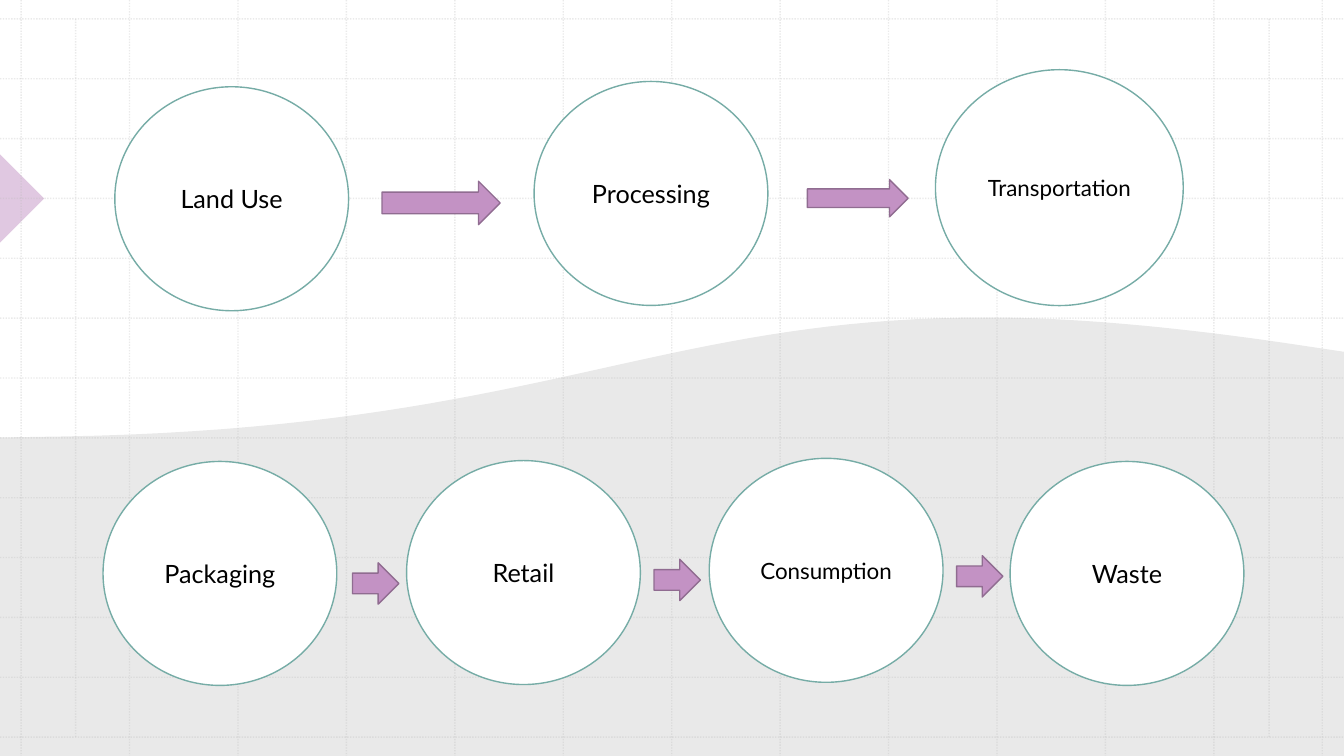
"""Build a slide that shows the seven stages of a food life cycle."""

from dataclasses import dataclass

from lxml.etree import SubElement
from pptx import Presentation
from pptx.dml.color import RGBColor
from pptx.enum.dml import MSO_LINE
from pptx.enum.shapes import MSO_CONNECTOR, MSO_SHAPE
from pptx.enum.text import MSO_ANCHOR, PP_ALIGN
from pptx.oxml.ns import qn
from pptx.util import Pt

WIDTH, HEIGHT = 960, 540
CIRCLE_SIZE = (167, 160)
SHORT_ARROW_SIZE = (33.1, 29.5)


@dataclass(frozen=True)
class Theme:
    font: str = "Lato"
    text: str = "000000"
    white: str = "FFFFFF"
    wave: str = "E9E9E9"
    grid: str = "BCBCBC"
    circle_line: str = "76ACA6"
    arrow: str = "C392C4"
    arrow_line: str = "906C91"
    label_size: int = 18
    long_label_size: int = 16
    line_width: int = 1


def write_text(shape, text, *, font, size, color, align=PP_ALIGN.CENTER):
    frame = shape.text_frame
    frame.word_wrap = True
    frame.vertical_anchor = MSO_ANCHOR.MIDDLE
    paragraph = frame.paragraphs[0]
    paragraph.alignment = align
    run = paragraph.add_run()
    run.text = text
    run.font.name = font
    run.font.size = Pt(size)
    run.font.color.rgb = RGBColor.from_string(color)


def set_opacity(shape, percent):
    for color in shape.element.spPr.iter(qn("a:srgbClr")):
        SubElement(color, qn("a:alpha"), val=str(percent * 1000))


def curve_points(start, first_control, second_control, end, steps=40):
    for step in range(1, steps + 1):
        t = step / steps
        weights = ((1 - t) ** 3, 3 * t * (1 - t) ** 2, 3 * t**2 * (1 - t), t**3)
        corners = (start, first_control, second_control, end)
        yield tuple(
            sum(weight * corner[axis] for weight, corner in zip(weights, corners))
            for axis in (0, 1)
        )


class SlideBuilder:
    def __init__(self, slide, theme):
        self.slide = slide
        self.theme = theme

    def paint(self, shape, fill, line=None):
        shape.shadow.inherit = False
        shape.fill.solid()
        shape.fill.fore_color.rgb = RGBColor.from_string(fill)
        if line is None:
            shape.line.fill.background()
        else:
            shape.line.color.rgb = RGBColor.from_string(line)
            shape.line.width = Pt(self.theme.line_width)

    def preset(self, kind, left, top, width, height, fill, line=None):
        shape = self.slide.shapes.add_shape(
            kind, Pt(left), Pt(top), Pt(width), Pt(height)
        )
        self.paint(shape, fill, line)
        return shape

    def background(self):
        fill = self.slide.background.fill
        fill.solid()
        fill.fore_color.rgb = RGBColor.from_string(self.theme.white)

    def wave(self):
        crest = (704.2, 226.8)
        right_bend = (916.6, 244.8)
        left_bend = (43.9, 311.8)
        points = [
            *curve_points(crest, (763.2, 226.8), (832.3, 232.6), right_bend),
            (WIDTH, 251.3),
            (WIDTH, HEIGHT),
            (0, HEIGHT),
            (0, 312.5),
            left_bend,
            *curve_points(left_bend, (382.3, 306), (467.3, 226.8), crest),
        ]
        builder = self.slide.shapes.build_freeform(Pt(crest[0]), Pt(crest[1]))
        builder.add_line_segments([(Pt(x), Pt(y)) for x, y in points], close=True)
        self.paint(builder.convert_to_shape(), self.theme.wave)

    def edge_triangle(self):
        triangle = self.preset(
            MSO_SHAPE.RIGHT_TRIANGLE, -22.3, 119.5, 44.6, 44.6, self.theme.arrow
        )
        triangle.rotation = 225
        set_opacity(triangle, 50)

    def grid_line(self, start_x, start_y, end_x, end_y):
        connector = self.slide.shapes.add_connector(
            MSO_CONNECTOR.STRAIGHT, Pt(start_x), Pt(start_y), Pt(end_x), Pt(end_y)
        )
        connector.line.color.rgb = RGBColor.from_string(self.theme.grid)
        connector.line.width = Pt(self.theme.line_width)
        connector.line.dash_style = MSO_LINE.ROUND_DOT
        set_opacity(connector, 30)
        SubElement(connector.element.spPr, qn("a:effectLst"))

    def grid(self):
        left, top, column_gap, row_gap = 15.1, 13.5, 77.45, 42.75
        for index in range(13):
            x = left + index * column_gap
            y = top + index * row_gap
            self.grid_line(x, 0, x, HEIGHT)
            self.grid_line(0, y, WIDTH, y)
        for margin in (54, 906.5):
            self.grid_line(margin, top, margin, HEIGHT - top)

    def circle(self, label, left, top, text_size, size=CIRCLE_SIZE):
        shape = self.preset(
            MSO_SHAPE.OVAL, left, top, *size, self.theme.white, self.theme.circle_line
        )
        write_text(
            shape, label, font=self.theme.font, size=text_size, color=self.theme.text
        )

    def arrow(self, left, top, size=SHORT_ARROW_SIZE):
        self.preset(
            MSO_SHAPE.RIGHT_ARROW,
            left,
            top,
            *size,
            self.theme.arrow,
            self.theme.arrow_line,
        )


def main():
    presentation = Presentation()
    presentation.slide_width = Pt(WIDTH)
    presentation.slide_height = Pt(HEIGHT)
    slide = presentation.slides.add_slide(presentation.slide_layouts[6])
    theme = Theme()
    builder = SlideBuilder(slide, theme)

    builder.background()
    builder.wave()
    builder.edge_triangle()
    builder.grid()

    builder.circle("Land Use", 82, 62, theme.label_size)
    builder.circle("Processing", 381.5, 58.2, theme.label_size)
    builder.circle("Transportation", 668.2, 49.8, theme.long_label_size, (177, 168.5))
    builder.circle("Packaging", 73.6, 329.6, theme.label_size)
    builder.circle("Retail", 290.4, 329, theme.label_size)
    builder.circle("Consumption", 506.6, 327.4, theme.long_label_size)
    builder.circle("Waste", 721.5, 329.6, theme.label_size)

    builder.arrow(272.9, 129.5, (84.4, 31))
    builder.arrow(576.7, 128.3, (72, 26.6))
    for left, top in ((251.8, 402), (467.2, 399.5), (683.3, 396.9)):
        builder.arrow(left, top)

    presentation.save("out.pptx")


if __name__ == "__main__":
    main()
